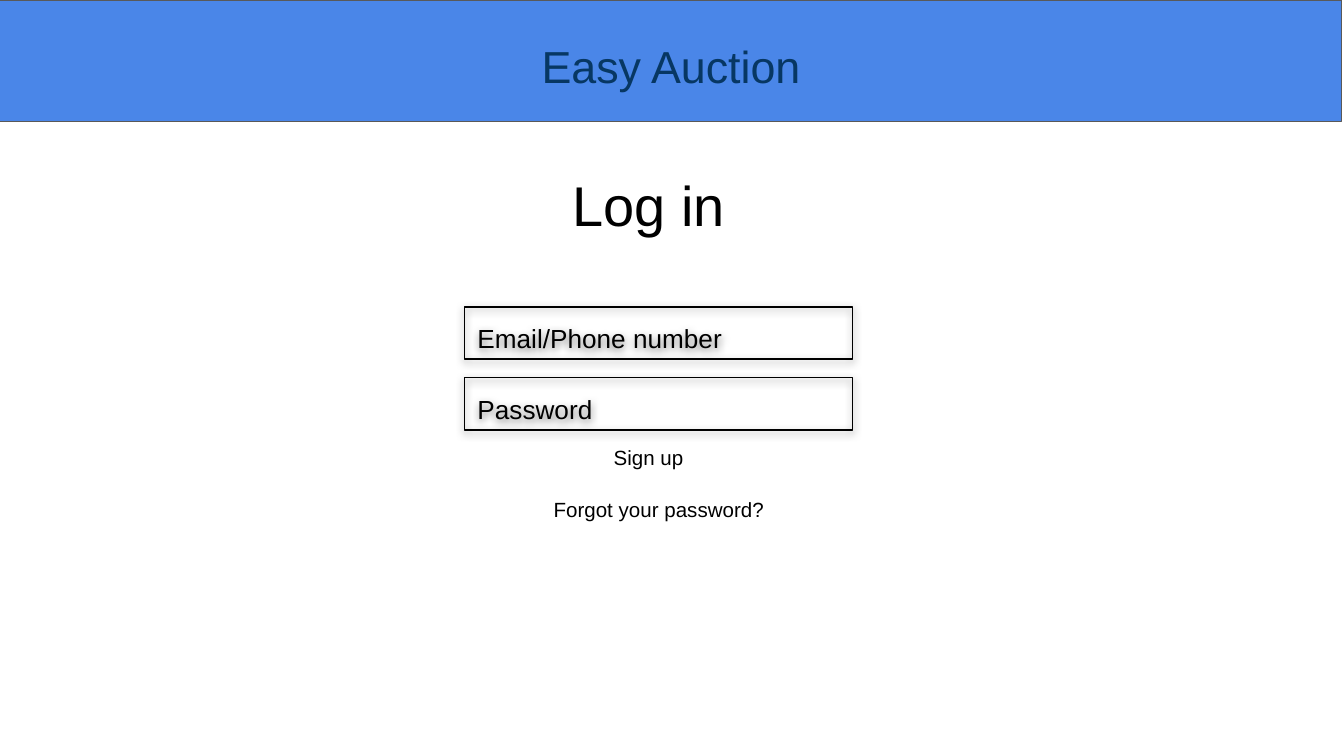
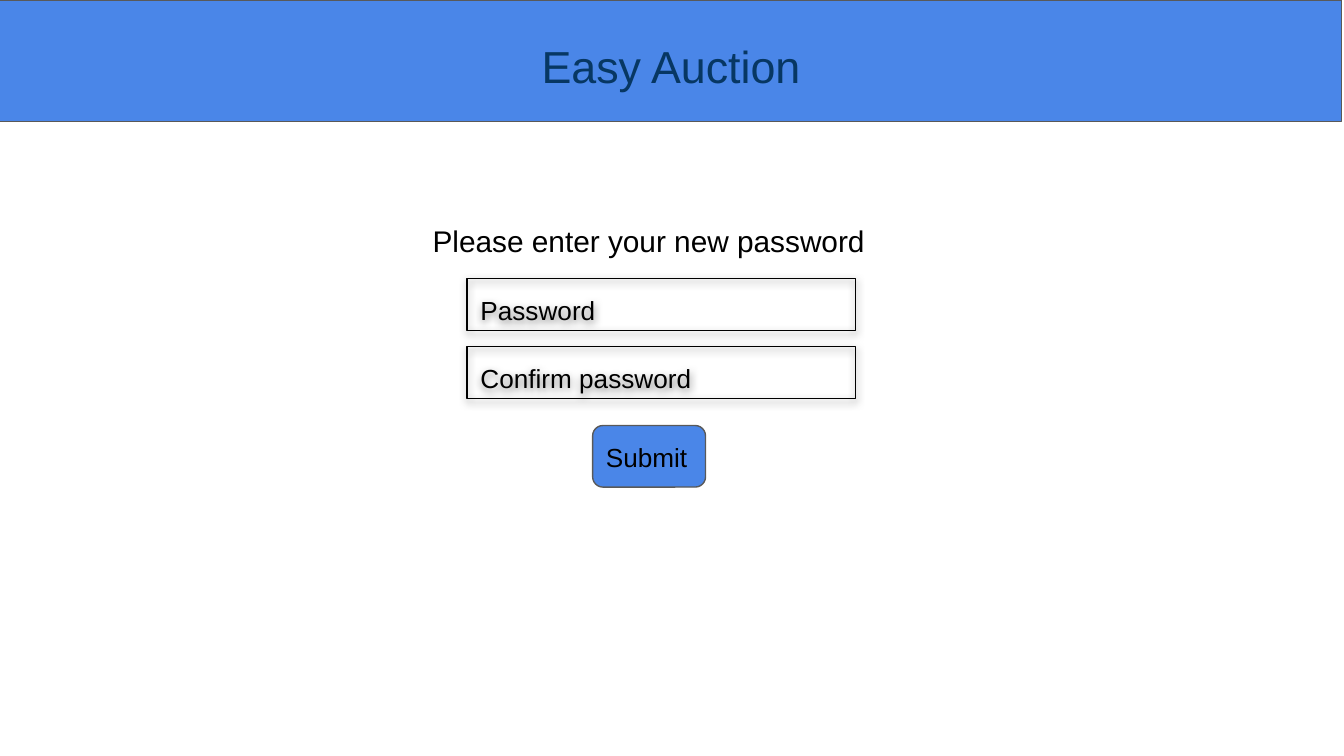
from dataclasses import dataclass

from lxml.etree import SubElement
from pptx import Presentation
from pptx.dml.color import RGBColor
from pptx.enum.shapes import MSO_SHAPE
from pptx.enum.text import MSO_ANCHOR, PP_ALIGN
from pptx.oxml.ns import qn
from pptx.util import Pt


@dataclass(frozen=True)
class Theme:
    """Colours, font and type sizes shared by every page."""
    blue: str = "4A86E8"
    navy: str = "073763"
    gray: str = "595959"
    black: str = "000000"
    font: str = "Arial"
    heading: int = 30
    brand: int = 24
    prompt: int = 16
    body: int = 14
    link: int = 11
    line_width: float = 0.75
    inset: float = 7.2
    line_spacing: float = 1.07


def write_text(shape, text, theme, size, color, align=PP_ALIGN.LEFT):
    """Fill a shape with one formatted paragraph."""
    frame = shape.text_frame
    frame.word_wrap = True
    frame.vertical_anchor = MSO_ANCHOR.TOP
    frame.margin_left = frame.margin_right = Pt(theme.inset)
    frame.margin_top = frame.margin_bottom = Pt(theme.inset)
    para = frame.paragraphs[0]
    para.alignment = align
    para.line_spacing = theme.line_spacing
    span = para.add_run()
    span.text = text
    span.font.name = theme.font
    span.font.size = Pt(size)
    span.font.color.rgb = RGBColor.from_string(color)


def add_soft_shadow(shape, color):
    """Give a shape a blurred shadow that falls straight down."""
    effects = shape._element.spPr.find(qn("a:effectLst"))
    shadow = SubElement(effects, qn("a:outerShdw"), blurRad=str(Pt(4.5)),
                        dist=str(Pt(1.5)), dir="5400000", algn="bl", rotWithShape="0")
    tint = SubElement(shadow, qn("a:srgbClr"), val=color)
    SubElement(tint, qn("a:alpha"), val="50000")


class FormDeck:
    """Builds form pages under a common header."""

    def __init__(self, theme):
        """Start an empty deck."""
        self.theme = theme
        self.deck = Presentation()
        self.deck.slide_width, self.deck.slide_height = Pt(720), Pt(405)
        self.page = None

    def start_page(self):
        """Add a blank page with the header band."""
        theme = self.theme
        self.page = self.deck.slides.add_slide(self.deck.slide_layouts[6])
        self.panel(-1.4, 0, 720, 65, fill=theme.blue, line=theme.gray)
        self.label("Easy Auction", 233.5, 11.5, 252, 41, size=theme.brand, color=theme.navy)

    def panel(self, left, top, width, height, line, fill=None, kind=MSO_SHAPE.RECTANGLE):
        """Add an outlined shape, filled or open."""
        box = self.page.shapes.add_shape(kind, Pt(left), Pt(top), Pt(width), Pt(height))
        box.shadow.inherit = False
        if fill:
            box.fill.solid()
            box.fill.fore_color.rgb = RGBColor.from_string(fill)
        else:
            box.fill.background()
        box.line.color.rgb = RGBColor.from_string(line)
        box.line.width = Pt(self.theme.line_width)
        return box

    def label(self, text, left, top, width, height, size, color=None, align=PP_ALIGN.CENTER):
        """Add plain text."""
        box = self.page.shapes.add_textbox(Pt(left), Pt(top), Pt(width), Pt(height))
        write_text(box, text, self.theme, size=size, color=color or self.theme.black, align=align)

    def fields(self, names, left, top, pitch):
        """Stack input fields at an equal pitch."""
        theme = self.theme
        for index, name in enumerate(names):
            box = self.panel(left, top + index * pitch, 208, 28, line=theme.black)
            add_soft_shadow(box, theme.black)
            write_text(box, name, theme, size=theme.body, color=theme.black)

    def button(self, text, left, top, width, height):
        """Add a rounded button with its caption."""
        theme = self.theme
        self.panel(left, top, width, height, fill=theme.blue, line=theme.gray,
                   kind=MSO_SHAPE.ROUNDED_RECTANGLE)
        self.label(text, left, top, width, height, size=theme.body, align=PP_ALIGN.LEFT)


def main():
    """Build the log-in and new-password pages."""
    theme = Theme()
    form = FormDeck(theme)

    form.start_page()
    form.label("Log in", 198.5, 81.5, 298, 91.5, size=theme.heading)
    form.fields(["Email/Phone number", "Password"], left=248.7, top=164.4, pitch=38)
    form.label("Sign up", 310, 230.5, 75, 28, size=theme.link)
    form.label("Forgot your password?", 265.5, 258.5, 175, 28, size=theme.link)

    form.start_page()
    form.label("Please enter your new password", 198.5, 111, 298, 33, size=theme.prompt)
    form.fields(["Password", "Confirm password"], left=250.3, top=149.2, pitch=36.5)
    form.button("Submit", 317.5, 228, 60.5, 33)

    form.deck.save("out.pptx")


if __name__ == "__main__":
    main()
